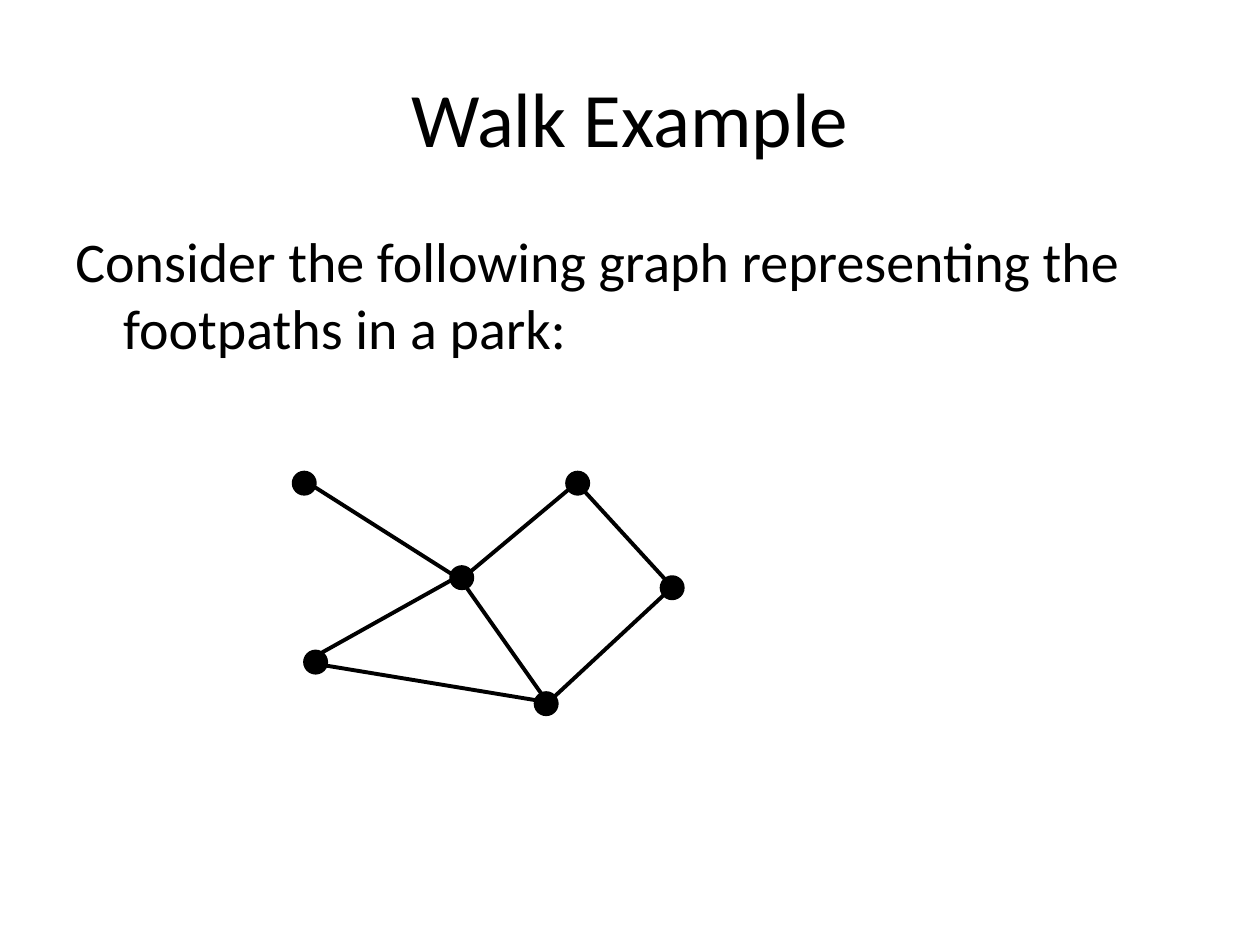
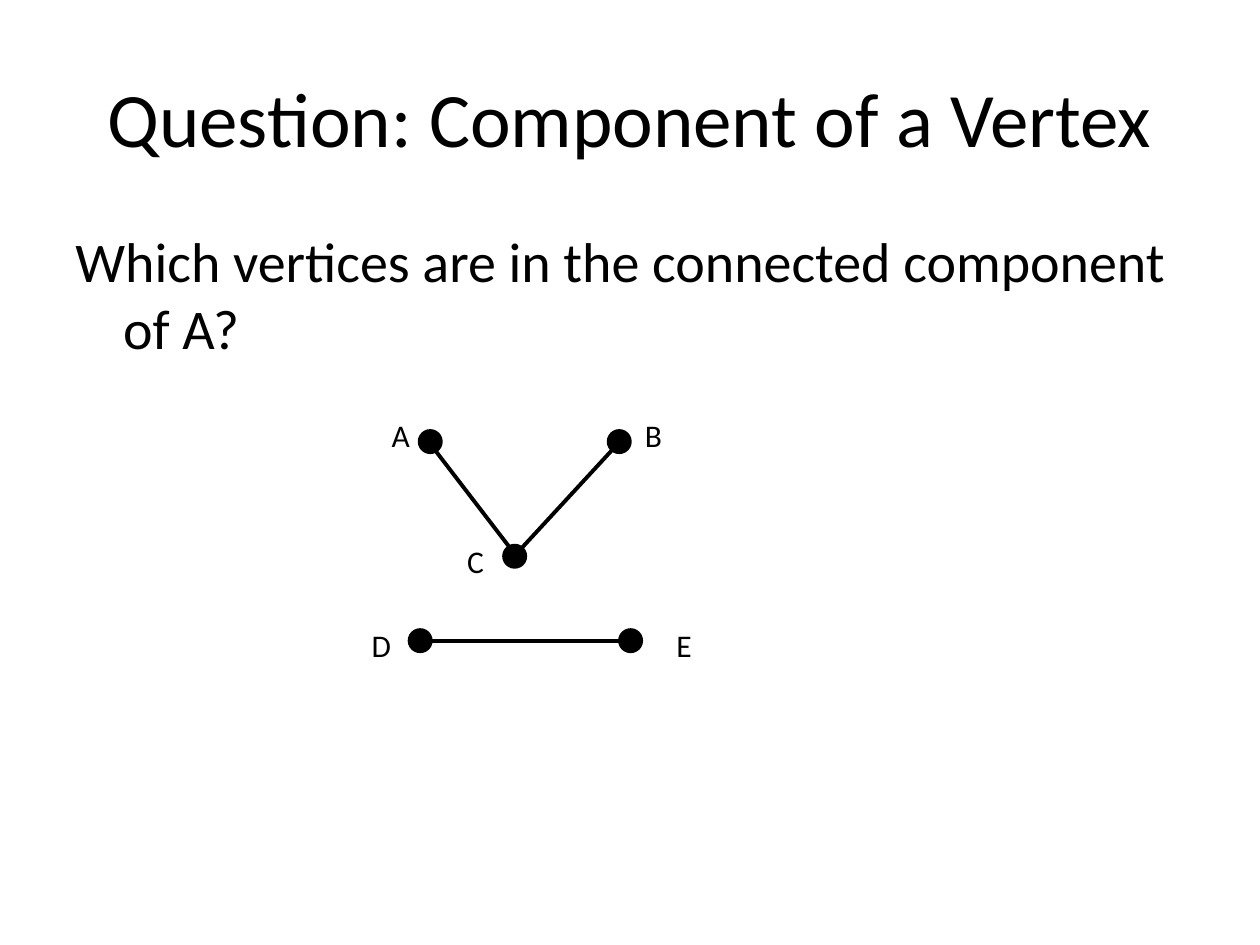
from math import cos, pi, sin

from lxml.etree import SubElement
from pptx import Presentation
from pptx.dml.color import RGBColor
from pptx.enum.shapes import MSO_CONNECTOR as Connector, MSO_SHAPE as Shape
from pptx.enum.text import MSO_ANCHOR as Anchor, MSO_AUTO_SIZE as AutoSize, PP_ALIGN as Align
from pptx.oxml.ns import qn
from pptx.util import Inches, Pt

INK = RGBColor(0x00, 0x00, 0x00)
PAPER = RGBColor(0xFF, 0xFF, 0xFF)
FONT = "Calibri"
TITLE_SIZE, BODY_SIZE, LABEL_SIZE = 44, 32, 18
DOT = 0.17
LABEL_HEIGHT = 0.4
HANGING = 0.38

RIM_ANGLES = {
    "right": 0, "lower right": pi / 4, "lower left": 3 * pi / 4,
    "left": pi, "upper left": 5 * pi / 4, "upper right": 7 * pi / 4,
}

PARK_BOX = (2.33, 3.75)
PARK_VERTICES = {
    "entrance": (0, 0), "north": (2.17, 0), "east": (2.92, 0.83),
    "hub": (1.25, 0.75), "south": (1.92, 1.75), "west": (0.09, 1.42),
}
PARK_EDGES = [
    ("entrance", "upper left", "hub", "lower right"),
    ("hub", "lower left", "north", "upper right"),
    ("north", "upper left", "east", "lower right"),
    ("west", "left", "hub", "upper right"),
    ("hub", "upper left", "south", "lower right"),
    ("south", "lower left", "east", "upper right"),
    ("south", "right", "west", "left"),
]

COMPONENT_BOX = (3.25, 3.42)
COMPONENT_VERTICES = {
    "A": (0.08, 0), "B": (1.58, 0), "C": (0.75, 0.91),
    "D": (0, 1.58), "E": (1.67, 1.58),
}
COMPONENT_EDGES = [
    ("A", "upper left", "C", "lower right"),
    ("C", "lower left", "B", "upper right"),
    ("D", "left", "E", "right"),
]
COMPONENT_LABELS = {
    "A": (-0.24, -0.17, 0.34), "B": (1.77, -0.17, 0.33), "C": (0.36, 0.83, 0.33),
    "D": (-0.4, 1.5, 0.35), "E": (2.02, 1.5, 0.32),
}


def add_text(slide, box, text, size, wrap=True):
    """Add one run of text in a box and return its frame and paragraph."""
    frame = slide.shapes.add_textbox(*map(Inches, box)).text_frame
    frame.word_wrap = wrap
    paragraph = frame.paragraphs[0]
    run = paragraph.add_run()
    run.text = text
    run.font.name = FONT
    run.font.size = Pt(size)
    run.font.color.rgb = INK
    return frame, paragraph


def add_title(slide, box, title):
    """Add the centred slide title."""
    frame, paragraph = add_text(slide, box, title, TITLE_SIZE)
    frame.vertical_anchor = Anchor.MIDDLE
    paragraph.alignment = Align.CENTER


def add_statement(slide, box, statement):
    """Add the introductory sentence with a hanging indent."""
    _, paragraph = add_text(slide, box, statement, BODY_SIZE)
    properties = paragraph._p.get_or_add_pPr()
    properties.set("marL", str(Inches(HANGING)))
    properties.set("indent", str(-Inches(HANGING)))


def rim_point(corner, side):
    """Return the point on a vertex's rim that faces the given side."""
    angle = RIM_ANGLES[side]
    x, y = corner
    return Inches(x + DOT / 2 * (1 + cos(angle))), Inches(y + DOT / 2 * (1 + sin(angle)))


def add_edge(slide, start, end):
    """Draw a straight edge between two points."""
    edge = slide.shapes.add_connector(Connector.STRAIGHT, *start, *end)
    edge.line.color.rgb = INK
    edge.line.width = Pt(2.25)
    SubElement(edge._element.spPr, qn("a:effectLst"))


def add_vertex(slide, corner):
    """Draw a solid vertex dot."""
    vertex = slide.shapes.add_shape(Shape.OVAL, *map(Inches, (*corner, DOT, DOT)))
    vertex.shadow.inherit = False
    vertex.fill.solid()
    vertex.fill.fore_color.rgb = INK
    vertex.line.color.rgb = INK
    vertex.line.width = Pt(2)


def add_graph(slide, box, vertices, edges, labels):
    """Draw edges, vertices and vertex labels relative to the graph's box."""
    left, top = box
    corners = {name: (left + x, top + y) for name, (x, y) in vertices.items()}
    for start, start_side, end, end_side in edges:
        add_edge(slide, rim_point(corners[start], start_side), rim_point(corners[end], end_side))
    for corner in corners.values():
        add_vertex(slide, corner)
    for letter, (x, y, width) in labels.items():
        label_box = (left + x, top + y, width, LABEL_HEIGHT)
        frame, _ = add_text(slide, label_box, letter, LABEL_SIZE, wrap=False)
        frame.auto_size = AutoSize.SHAPE_TO_FIT_TEXT


def add_graph_slide(deck, title, statement, statement_height, graph_box, vertices, edges, labels):
    """Build a slide with a title, a statement and a graph."""
    slide = deck.slides.add_slide(deck.slide_layouts[6])
    slide.background.fill.solid()
    slide.background.fill.fore_color.rgb = PAPER
    add_title(slide, (0.5, 0.3, 9, 1.25), title)
    add_statement(slide, (0.5, 1.75, 9, statement_height), statement)
    add_graph(slide, graph_box, vertices, edges, labels)


def main():
    """Build and save the deck."""
    deck = Presentation()
    deck.slide_width, deck.slide_height = Inches(10), Inches(7.5)
    add_graph_slide(
        deck, "Walk Example",
        "Consider the following graph representing the footpaths in a park:", 1.25,
        PARK_BOX, PARK_VERTICES, PARK_EDGES, {})
    add_graph_slide(
        deck, "Question: Component of a Vertex",
        "Which vertices are in the connected component of A?", 1.33,
        COMPONENT_BOX, COMPONENT_VERTICES, COMPONENT_EDGES, COMPONENT_LABELS)
    deck.save("out.pptx")


if __name__ == "__main__":
    main()
